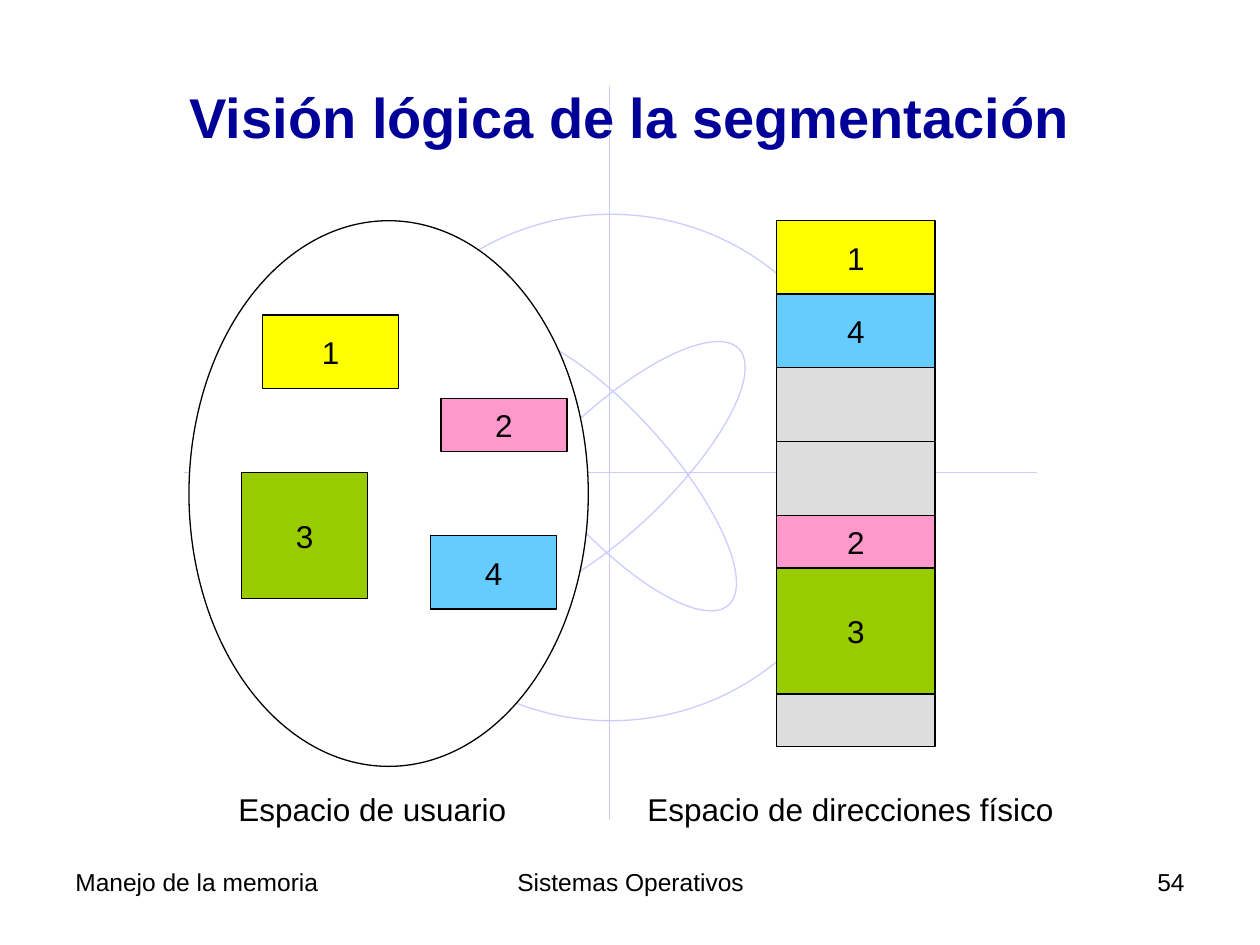
import pptx
import pptx.dml.color
import pptx.enum.shapes
import pptx.enum.text
import pptx.oxml
import pptx.util

Cm = pptx.util.Cm
Pt = pptx.util.Pt
SHAPE = pptx.enum.shapes.MSO_SHAPE
ALIGN = pptx.enum.text.PP_ALIGN
ANCHOR = pptx.enum.text.MSO_ANCHOR

COLORS = {
    "title": "000099",
    "ink": "000000",
    "orbit": "CCCCFF",
    "paper": "FFFFFF",
    "free": "DDDDDD",
}
# Segment number: (fill, height in cm)
SEGMENTS = {
    "1": ("FFFF00", 1.48),
    "2": ("FF99CC", 1.06),
    "3": ("99CC00", 2.54),
    "4": ("66CCFF", 1.48),
}
# Segment number, left, top, width in cm
USER_SPACE = [
    ("1", 5.29, 6.35, 2.75),
    ("3", 4.87, 9.53, 2.54),
    ("2", 8.89, 8.04, 2.54),
    ("4", 8.68, 10.8, 2.54),
]
# Top to bottom: a segment number, or the height in cm of a free block
PHYSICAL_MEMORY = ["1", "4", 2.98, "2", "3", 1.06]
MEMORY_LEFT, MEMORY_TOP, MEMORY_WIDTH = 15.66, 4.45, 3.19


def rgb(name):
    return pptx.dml.color.RGBColor.from_string(COLORS.get(name, name))


def write(box, text, size, align=ALIGN.CENTER, color="ink", bold=False):
    para = box.text_frame.paragraphs[0]
    para.alignment = align
    span = para.add_run()
    span.text = text
    span.font.name = "Arial"
    span.font.size = Pt(size)
    span.font.bold = bold
    span.font.color.rgb = rgb(color)
    return para


def add_block(page, kind, left, top, width, height, fill=None, line="ink"):
    """Add an outlined shape, hollow when no fill is given."""
    block = page.shapes.add_shape(kind, Cm(left), Cm(top), Cm(width), Cm(height))
    block.shadow.inherit = False
    if fill:
        block.fill.solid()
        block.fill.fore_color.rgb = rgb(fill)
    else:
        block.fill.background()
    block.line.color.rgb = rgb(line)
    block.line.width = Pt(0.75)
    return block


def add_segment(page, number, left, top, width):
    fill, height = SEGMENTS[number]
    block = add_block(page, SHAPE.RECTANGLE, left, top, width, height, fill)
    block.text_frame.word_wrap = False
    block.text_frame.vertical_anchor = ANCHOR.MIDDLE
    write(block, number, 18)
    return block


def add_line(page, x1, y1, x2, y2, color):
    line = page.shapes.add_connector(
        pptx.enum.shapes.MSO_CONNECTOR.STRAIGHT, Cm(x1), Cm(y1), Cm(x2), Cm(y2))
    line.line.color.rgb = rgb(color)
    line.line.width = Pt(0.75)
    properties = line._element.spPr
    properties.append(pptx.oxml.parse_xml(
        '<a:effectLst xmlns:a="http://schemas.openxmlformats.org/drawingml/2006/main"/>'))
    return line


def add_label(page, text, left, top, width, height, size, align=ALIGN.CENTER):
    box = page.shapes.add_textbox(Cm(left), Cm(top), Cm(width), Cm(height))
    box.text_frame.word_wrap = True
    return box, write(box, text, size, align)


def add_caption(page, text, left, width):
    box, para = add_label(page, text, left, 15.8, width, 1.02, 18)
    box.text_frame.word_wrap = False
    box.text_frame.vertical_anchor = ANCHOR.MIDDLE
    para.space_before = Pt(11.2)


def add_atom(page):
    """Draw the pale axes, circle and two tilted orbits of the background."""
    add_line(page, 12.29, 1.73, 12.29, 16.54, "orbit")
    add_line(page, 3.71, 9.53, 20.9, 9.53, "orbit")
    add_block(page, SHAPE.OVAL, 7.11, 4.32, 10.41, 10.21, line="orbit")
    for angle in (46.3, 318.3):
        orbit = add_block(page, SHAPE.OVAL, 11.1, 5.92, 2.39, 7.19, line="orbit")
        orbit.rotation = angle


def set_title(page, text):
    title = page.shapes.title
    title.left, title.top, title.width, title.height = Cm(1.27), Cm(0.76), Cm(22.86), Cm(3.18)
    title.text_frame.vertical_anchor = ANCHOR.MIDDLE
    write(title, text, 32, color="title", bold=True)
    # Bring the title in front of the background drawing
    page.shapes._spTree.append(title._element)


def add_user_space(page):
    add_block(page, SHAPE.OVAL, 3.81, 4.45, 8.05, 11, "paper")
    for number, left, top, width in USER_SPACE:
        add_segment(page, number, left, top, width)


def add_physical_memory(page):
    top = MEMORY_TOP
    free_blocks = []
    for part in PHYSICAL_MEMORY:
        if part in SEGMENTS:
            add_segment(page, part, MEMORY_LEFT, top, MEMORY_WIDTH)
            top += SEGMENTS[part][1]
        else:
            free_blocks.append(add_block(
                page, SHAPE.RECTANGLE, MEMORY_LEFT, top, MEMORY_WIDTH, part, "free"))
            top += part
    divider = add_line(page, 0, 0, 1, 0, "ink")
    divider.begin_connect(free_blocks[0], 1)
    divider.end_connect(free_blocks[0], 3)


def add_footer(page):
    for text, left, width, align in [
        ("Manejo de la memoria", 1.27, 5.92, ALIGN.LEFT),
        ("Sistemas Operativos", 8.69, 8.05, ALIGN.CENTER),
        ("54", 18.21, 5.92, ALIGN.RIGHT),
    ]:
        add_label(page, text, left, 17.35, width, 1.32, 14, align)


def main():
    deck = pptx.Presentation()
    deck.slide_width, deck.slide_height = Cm(25.4), Cm(19.05)
    page = deck.slides.add_slide(deck.slide_layouts[5])
    add_atom(page)
    set_title(page, "Visión lógica de la segmentación")
    add_user_space(page)
    add_physical_memory(page)
    add_caption(page, "Espacio de usuario ", 4.47, 6.07)
    add_caption(page, "Espacio de direcciones físico", 12.8, 8.69)
    add_footer(page)
    deck.save("out.pptx")


if __name__ == "__main__":
    main()
